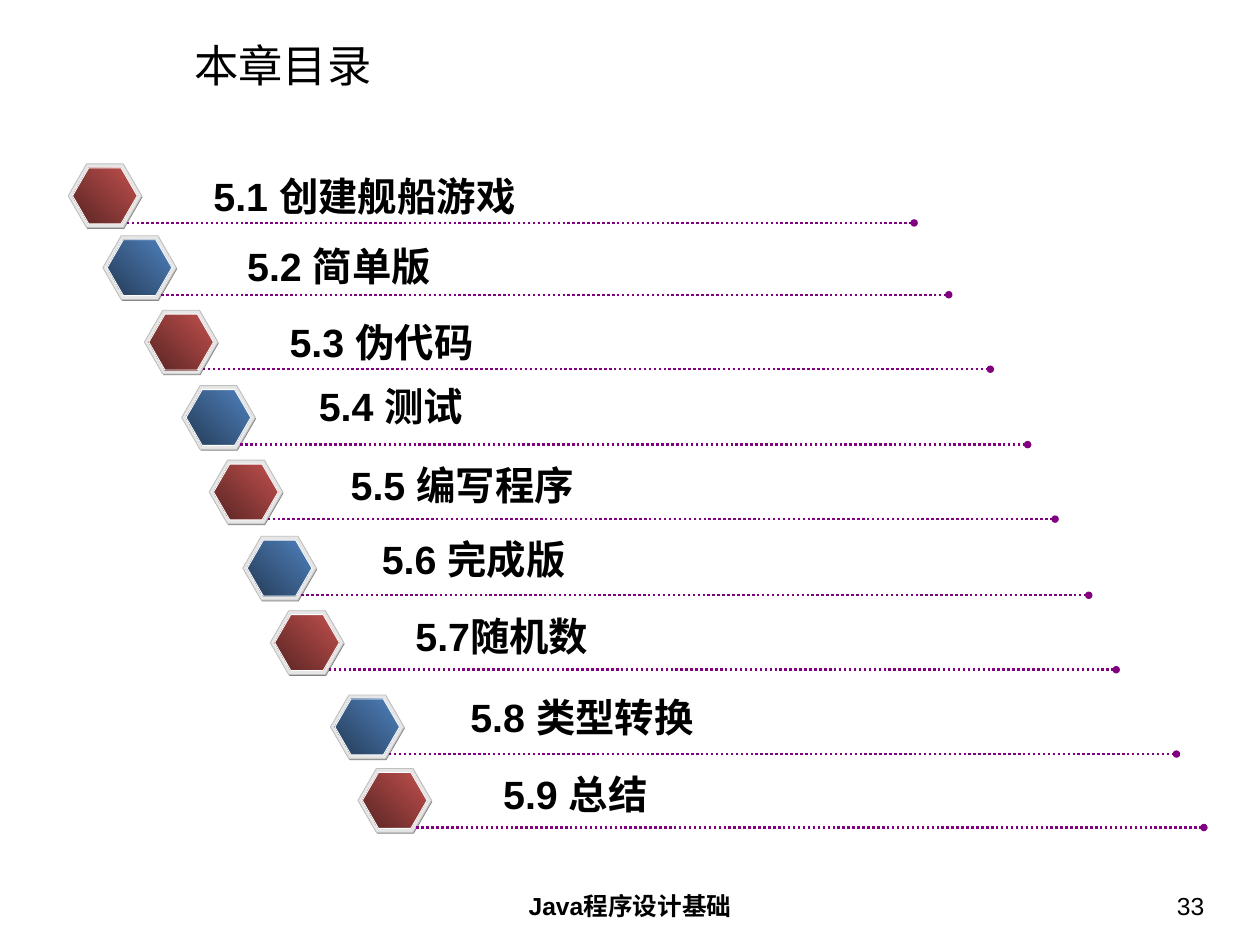
from dataclasses import dataclass

from lxml import etree
from pptx import Presentation, util as u
from pptx.dml.color import RGBColor
from pptx.enum import dml, shapes, text
from pptx.oxml.ns import qn

# Grid: 100 columns by 100 rows over the whole slide
WIDTH, HEIGHT = 14.22, 10.66


@dataclass(frozen=True)
class Theme:
    font: str = "Arial"
    ink: str = "000000"
    rim: str = "E6E6E6"
    rim_line: str = "C0C0C0"
    shade: str = "808080"
    face_line: str = "FFFFFF"
    rule: str = "800080"
    red: tuple = ("C0504D", "592524")
    blue: tuple = ("4F81BD", "253C57")
    title_size: int = 36
    entry_size: int = 32
    footer_size: int = 20


THEME = Theme()

# Label, hexagon column and row, label column and row
ENTRIES = [
    ("5.1 创建舰船游戏", 5.41, 17.35, 16.24, 17.73),
    ("5.2 简单版", 8.16, 24.95, 18.92, 25.14),
    ("5.3 伪代码", 11.46, 32.83, 22.29, 33.21),
    ("5.4 测试", 14.42, 40.81, 24.61, 39.96),
    ("5.5 编写程序", 16.6, 48.69, 27.14, 48.31),
    ("5.6 完成版", 19.27, 56.75, 29.61, 56.19),
    ("5.7随机数", 21.45, 64.63, 32.28, 64.35),
    ("5.8 类型转换", 26.23, 73.55, 36.64, 72.89),
    ("5.9 总结", 28.41, 81.33, 39.24, 81.05),
]


def col(n):
    return u.Inches(WIDTH * n / 100)


def row(n):
    return u.Inches(HEIGHT * n / 100)


def rgb(value):
    return RGBColor.from_string(value)


def add_text(parent, words, x, y, w, h, size, bold=False, align=None,
             anchor=text.MSO_ANCHOR.TOP, inset=(0.14, 0.07), wrap=True):
    sp = parent.add_textbox(col(x), row(y), col(w), row(h))
    tf = sp.text_frame
    tf.word_wrap = wrap
    if not wrap:
        tf.auto_size = text.MSO_AUTO_SIZE.SHAPE_TO_FIT_TEXT
    tf.vertical_anchor = anchor
    tf.margin_left = tf.margin_right = u.Inches(inset[0])
    tf.margin_top = tf.margin_bottom = u.Inches(inset[1])
    p = tf.paragraphs[0]
    p.text = words
    p.alignment = align
    p.font.name = THEME.font
    p.font.size = u.Pt(size)
    p.font.bold = bold
    p.font.color.rgb = rgb(THEME.ink)


def add_hexagon(parent, x, y, w, h, colours, line=None):
    """One colour gives a solid fill, two give a gradient."""
    sp = parent.add_shape(shapes.MSO_SHAPE.HEXAGON,
                          col(x), row(y), col(w), row(h))
    sp.shadow.inherit = False
    sp.adjustments[0], sp.adjustments[1] = 0.289, 1.155
    if len(colours) == 1:
        sp.fill.solid()
        sp.fill.fore_color.rgb = rgb(colours[0])
    else:
        sp.fill.gradient()
        sp.fill.gradient_angle = 225
        for stop, colour in zip(sp.fill.gradient_stops, colours):
            stop.color.rgb = rgb(colour)
    if line:
        sp.line.color.rgb = rgb(line)
        sp.line.width = u.Pt(0.75)
    else:
        sp.line.fill.background()


def add_rule(parent, x, y, length):
    """Dotted line that ends in a round dot."""
    cx = parent.add_connector(shapes.MSO_CONNECTOR.STRAIGHT,
                              col(x), row(y), col(x + length), row(y))
    cx.line.color.rgb = rgb(THEME.rule)
    cx.line.width = u.Pt(2)
    cx.line.dash_style = dml.MSO_LINE.ROUND_DOT
    props = cx.line._get_or_add_ln()
    etree.SubElement(props, qn("a:tailEnd"), type="oval")
    etree.SubElement(cx._element.spPr, qn("a:effectLst"))


def add_entry(s, colours, label, x, y, label_x, label_y):
    group = s.shapes.add_group_shape().shapes
    # Badge: shade, rim and face
    add_hexagon(group, x + 0.06, y + 0.13, 5.84, 6.75, [THEME.shade])
    add_hexagon(group, x, y, 5.84, 6.75, [THEME.rim], THEME.rim_line)
    add_hexagon(group, x + 0.35, y + 0.42, 5.13, 5.91, colours,
                THEME.face_line)
    add_rule(group, x + 4.64, y + 6.24, 62.5)
    # Label box is as wide as its characters
    gaps = label.count(" ")
    width = 6.54 + 3.13 * (len(label) - 3 - gaps) + 0.84 * gaps
    add_text(group, label, label_x, label_y, width, 6, THEME.entry_size,
             bold=True, inset=(0.1, 0.05), wrap=False)


def main():
    prs = Presentation()
    prs.slide_width, prs.slide_height = u.Inches(WIDTH), u.Inches(HEIGHT)
    s = prs.slides.add_slide(prs.slide_layouts[6])

    # Title
    add_text(s.shapes, "本章目录", 14.42, 4.22, 83.19, 5.35,
             THEME.title_size, anchor=text.MSO_ANCHOR.MIDDLE)

    # Footer and page number
    add_text(s.shapes, "Java程序设计基础", 34.18, 93.62, 31.65, 5.16,
             THEME.footer_size, bold=True, align=text.PP_ALIGN.CENTER)
    add_text(s.shapes, "33", 73.21, 93.62, 23.35, 5.16,
             THEME.footer_size, align=text.PP_ALIGN.RIGHT)

    # Contents, in alternating colours
    for i, entry in enumerate(ENTRIES):
        add_entry(s, THEME.blue if i % 2 else THEME.red, *entry)

    prs.save("out.pptx")


if __name__ == "__main__":
    main()
